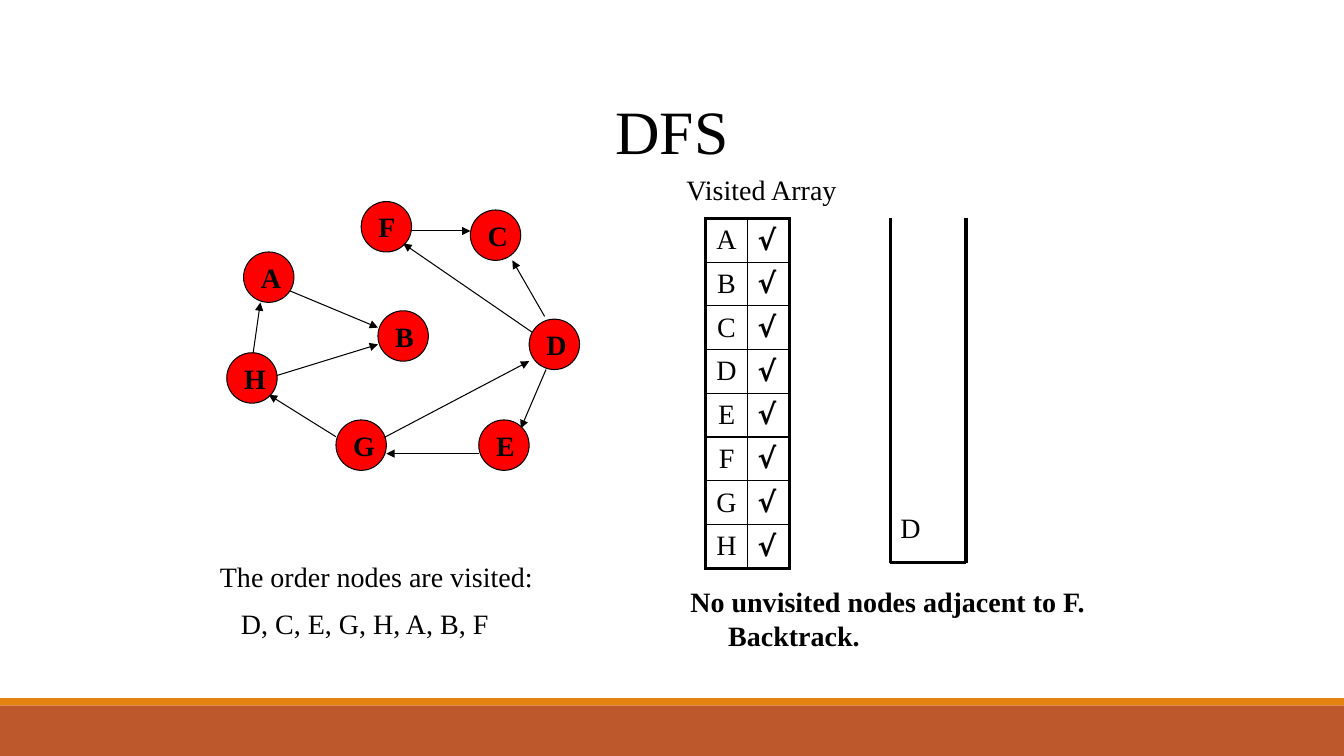
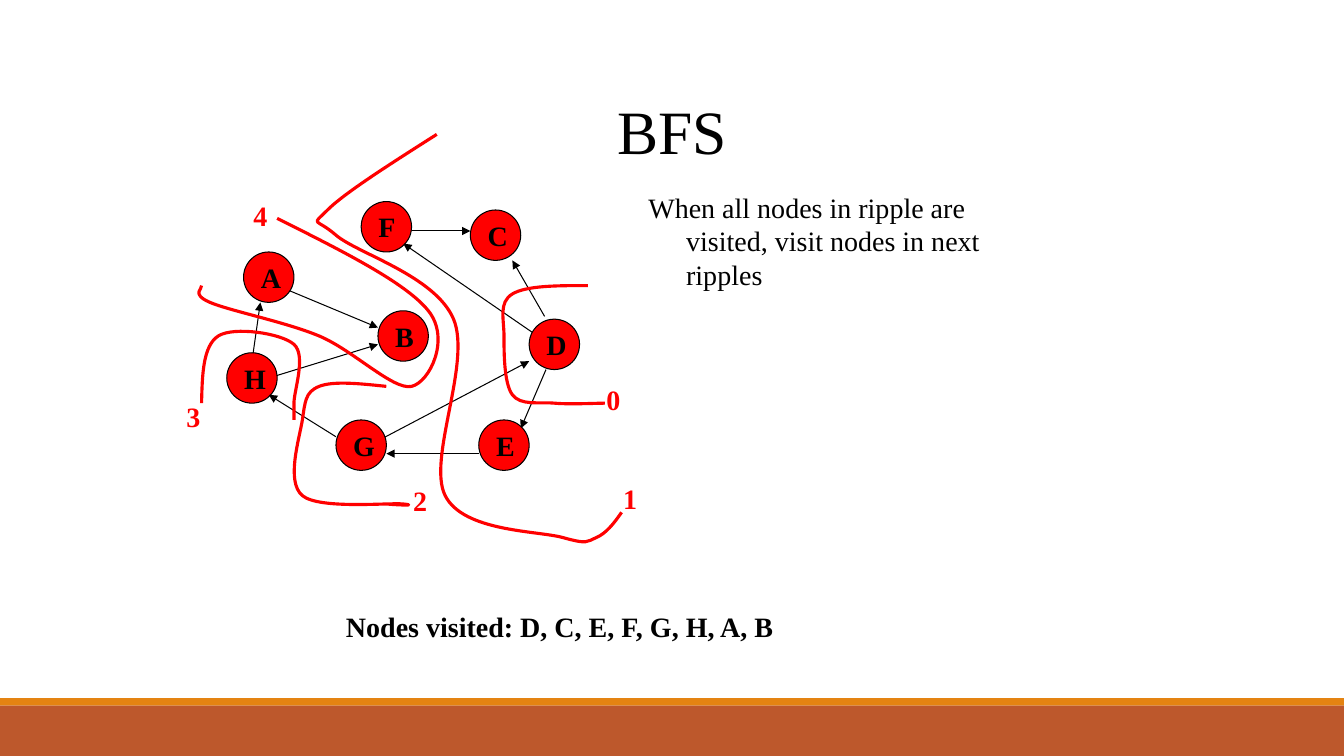
"""Builds two slides on depth-first and breadth-first graph traversal."""
from lxml import etree
from pptx import Presentation
from pptx.dml.color import RGBColor
from pptx.enum.shapes import MSO_CONNECTOR, MSO_SHAPE
from pptx.enum.text import MSO_ANCHOR, MSO_AUTO_SIZE, PP_ALIGN
from pptx.oxml.ns import qn
from pptx.util import Pt

STRAIGHT = MSO_CONNECTOR.STRAIGHT
RECTANGLE, OVAL = MSO_SHAPE.RECTANGLE, MSO_SHAPE.OVAL
MIDDLE = MSO_ANCHOR.MIDDLE
LEFT, CENTER = PP_ALIGN.LEFT, PP_ALIGN.CENTER
NO_AUTOFIT = MSO_AUTO_SIZE.NONE

COLORS = {"ink": "000000", "red": "FF0000", "rust": "BD582C", "orange": "E48312"}
SERIF, SYMBOL = "Times New Roman", "DejaVu Sans"
WIDTH, HEIGHT = 960, 540
NODE_SIZE = 36
THIN, THICK = 0.75, 2.25
HANGING = (27, -27)

NODES = {
    "A": (174, 180), "H": (162, 252), "B": (270, 222), "F": (258, 144),
    "E": (342, 300), "D": (378, 228), "C": (336, 150), "G": (240, 300),
}
EDGES_BEHIND = [
    ((384, 240), (288, 174)),
    ((390, 264), (372, 306)),
    ((192, 270), (270, 246)),
    ((264, 318), (378, 258)),
    ((180, 258), (186, 216)),
    ((198, 204), (270, 234)),
    ((389, 226), (366, 186)),
]
EDGES_IN_FRONT = [
    ((342, 324), (276, 324)),
    ((240, 312), (192, 282)),
    ((294, 165), (336, 165)),
]
RIPPLES = {
    "0": ((426, 270), (426, 288),
          [(420, 204), (366, 210), (360, 240), (366, 282), (396, 288), (432, 288)]),
    "1": ((438, 340.5), (438.5, 374),
          [(312, 96), (234, 150), (240, 168), (324, 228), (318, 354),
           (402, 384), (426, 384), (444, 366)]),
    "2": ((288, 342), (287, 361),
          [(276, 276), (228, 276), (216, 300), (216, 354), (288, 360), (276, 360)]),
    "3": ((126, 282), (210, 299),
          [(144, 288), (156, 240), (210, 246), (210, 288), (210, 300)]),
    "4": ((174, 138), (145, 206),
          [(198, 156), (306, 222), (294, 276), (228, 240), (150, 216), (144, 204)]),
}


def rgb(color):
    """Return the named colour."""
    return RGBColor.from_string(COLORS[color])


def midpoint(a, b):
    """Return the point halfway between two points."""
    return (a[0] + b[0]) / 2, (a[1] + b[1]) / 2


def smooth(anchors, final_handle):
    """Return Bézier points of a smooth curve through the anchors."""
    def handle(i, sign):
        return tuple(p + sign * (after - before) / 6 for before, p, after
                     in zip(anchors[i - 1], anchors[i], anchors[i + 1]))

    points = [anchors[0]]
    last = len(anchors) - 2
    for i in range(last + 1):
        leave = handle(i, 1) if i else midpoint(anchors[0], handle(1, -1))
        arrive = handle(i + 1, -1) if i < last else final_handle
        points += [leave, arrive, anchors[i + 1]]
    return points


class Deck:
    """Holds the presentation style and the current slide."""

    def __init__(self):
        """Create an empty wide presentation."""
        self.prs = Presentation()
        self.prs.slide_width, self.prs.slide_height = Pt(WIDTH), Pt(HEIGHT)
        self.layout = self.prs.slide_layouts[5]
        self.slide = None

    def new_slide(self, heading):
        """Start a slide with a centred title."""
        first = self.slide is None
        self.slide = self.prs.slides.add_slide(self.layout)
        if first:
            self.shared_band(504, 36, "rust")
            self.shared_band(498.6, 5.4, "orange")
        title = self.slide.shapes.title
        title.left, title.top, title.width, title.height = Pt(174), Pt(48), Pt(612), Pt(90)
        frame = title.text_frame
        frame.text = heading
        frame.auto_size = NO_AUTOFIT
        frame.vertical_anchor = MIDDLE
        self.style(frame.paragraphs[0], size=44, align=CENTER)

    def style(self, paragraph, size=20, color="ink", bold=False, font=SERIF, align=LEFT):
        """Format a paragraph and its runs."""
        paragraph.alignment = align
        for run in paragraph.runs:
            run.font.name, run.font.size, run.font.bold = font, Pt(size), bold
            run.font.color.rgb = rgb(color)

    def shape(self, kind, left, top, width, height, fill):
        """Add a filled shape without outline."""
        figure = self.slide.shapes.add_shape(kind, Pt(left), Pt(top), Pt(width), Pt(height))
        figure.shadow.inherit = False
        figure.fill.solid()
        figure.fill.fore_color.rgb = rgb(fill)
        figure.line.fill.background()
        return figure

    def shared_band(self, top, height, fill):
        """Place a full-width band on the layout."""
        band = self.shape(RECTANGLE, 0, top, WIDTH, height, fill)
        self.layout.shapes.element.insert(2, band.element)

    def node(self, letter, left, top):
        """Add a graph node."""
        circle = self.shape(OVAL, left, top, NODE_SIZE, NODE_SIZE, "red")
        circle.line.color.rgb = rgb("ink")
        circle.line.width = Pt(THIN)
        frame = circle.text_frame
        frame.text = letter
        frame.word_wrap = False
        frame.vertical_anchor = MIDDLE
        self.style(frame.paragraphs[0], bold=True)

    def line(self, start, end, width=THIN, arrow=False):
        """Add a straight line, with an arrowhead on request."""
        stroke = self.slide.shapes.add_connector(STRAIGHT, *map(Pt, start + end))
        stroke.line.color.rgb = rgb("ink")
        stroke.line.width = Pt(width)
        properties = stroke.element.spPr
        if arrow:
            etree.SubElement(properties.find(qn("a:ln")), qn("a:tailEnd"), type="triangle")
        etree.SubElement(properties, qn("a:effectLst"))

    def text(self, left, top, width, height, lines, indents=((0, 0),), **look):
        """Add a text box with one paragraph per line."""
        box = self.slide.shapes.add_textbox(Pt(left), Pt(top), Pt(width), Pt(height))
        frame = box.text_frame
        frame.word_wrap = True
        frame.text = "\n".join(lines)
        for i, (paragraph, (margin, indent)) in enumerate(zip(frame.paragraphs, indents)):
            properties = paragraph._p.get_or_add_pPr()
            properties.set("marL", str(Pt(margin)))
            properties.set("indent", str(Pt(indent)))
            if i:
                paragraph.space_before = Pt(9.5)
            self.style(paragraph, **look)

    def graph(self):
        """Draw the directed graph."""
        for start, end in EDGES_BEHIND:
            self.line(start, end, arrow=True)
        for letter, corner in NODES.items():
            self.node(letter, *corner)
        for start, end in EDGES_IN_FRONT:
            self.line(start, end, arrow=True)

    def borders(self, cell, widths):
        """Give a cell its left, right, top and bottom borders."""
        properties = cell._tc.get_or_add_tcPr()
        for i, (side, width) in enumerate(zip("LRTB", widths)):
            border = etree.Element(qn(f"a:ln{side}"), w=str(Pt(width)))
            fill = etree.SubElement(border, qn("a:solidFill"))
            etree.SubElement(fill, qn("a:srgbClr"), val=COLORS["ink"])
            properties.insert(i, border)

    def visited_table(self, left, top, letters, column=30, row=31.2):
        """Add the table of visited nodes."""
        count = len(letters)
        table = self.slide.shapes.add_table(
            count, 2, Pt(left), Pt(top), Pt(2 * column), Pt(count * row)).table
        table.first_row = table.horz_banding = False
        for r, letter in enumerate(letters):
            table.rows[r].height = Pt(row)
            looks = ((letter, {"align": CENTER}), ("√", {"font": SYMBOL, "bold": True}))
            for c, (entry, look) in enumerate(looks):
                cell = table.cell(r, c)
                cell.text = entry
                cell.vertical_anchor = MIDDLE
                cell.fill.background()
                outer = (c == 0, c == 1, r == 0, r == count - 1)
                self.borders(cell, [THICK if edge else 1 for edge in outer])
                self.style(cell.text_frame.paragraphs[0], **look)

    def stack(self, left, top, right, bottom):
        """Draw a stack that is open at the top."""
        self.line((left, top), (left, bottom), THICK)
        self.line((right, top), (right, bottom), THICK)
        self.line((left, bottom), (right, bottom), THICK)

    def ripple(self, anchors, final_handle):
        """Draw a smooth open curve."""
        points = [(Pt(x), Pt(y)) for x, y in smooth(anchors, final_handle)]
        builder = self.slide.shapes.build_freeform(*points[0])
        builder.add_line_segments(points[1:], close=False)
        curve = builder.convert_to_shape()
        segments = list(curve.element.iter(qn("a:lnTo")))
        outline = segments[0].getparent()
        for i in range(0, len(segments), 3):
            bend = etree.SubElement(outline, qn("a:cubicBezTo"))
            for segment in segments[i:i + 3]:
                bend.append(segment[0])
                outline.remove(segment)
        curve.shadow.inherit = False
        curve.fill.background()
        curve.line.color.rgb = rgb("red")
        curve.line.width = Pt(THICK)


def main():
    """Build and save both slides."""
    deck = Deck()

    deck.new_slide("DFS")
    deck.graph()
    deck.text(483.2, 120, 132, 31, ["Visited Array"])
    deck.visited_table(504, 156, sorted(NODES))
    deck.stack(636, 156, 690, 402)
    deck.text(636, 360.8, 54, 31, ["D"])
    deck.text(486, 414, 348, 55, ["No unvisited nodes adjacent to F. Backtrack."],
              [HANGING], bold=True)
    deck.text(150, 396, 324, 68, ["The order nodes are visited:", "D, C, E, G, H, A, B, F"],
              [HANGING, (15, 0)])

    deck.new_slide("BFS")
    deck.graph()
    deck.text(240, 432, 456, 31, ["Nodes visited: D, C, E, F, G, H, A, B"], bold=True)
    deck.text(456, 132.2, 300, 80,
              ["When all nodes in ripple are visited, visit nodes in next ripples"], [HANGING])
    for number, (corner, final_handle, anchors) in RIPPLES.items():
        deck.ripple(anchors, final_handle)
        deck.text(*corner, 30, 31, [number], color="red", bold=True)

    deck.prs.save("out.pptx")


if __name__ == "__main__":
    main()
